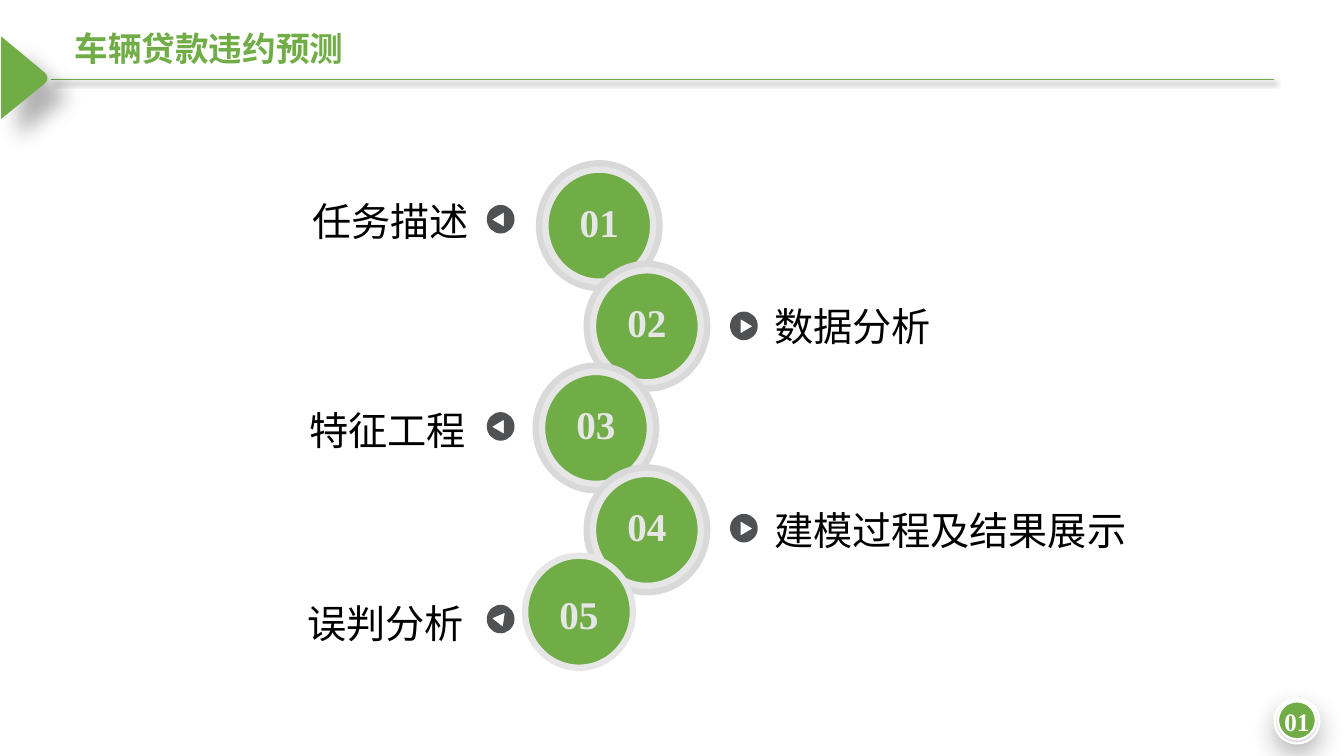
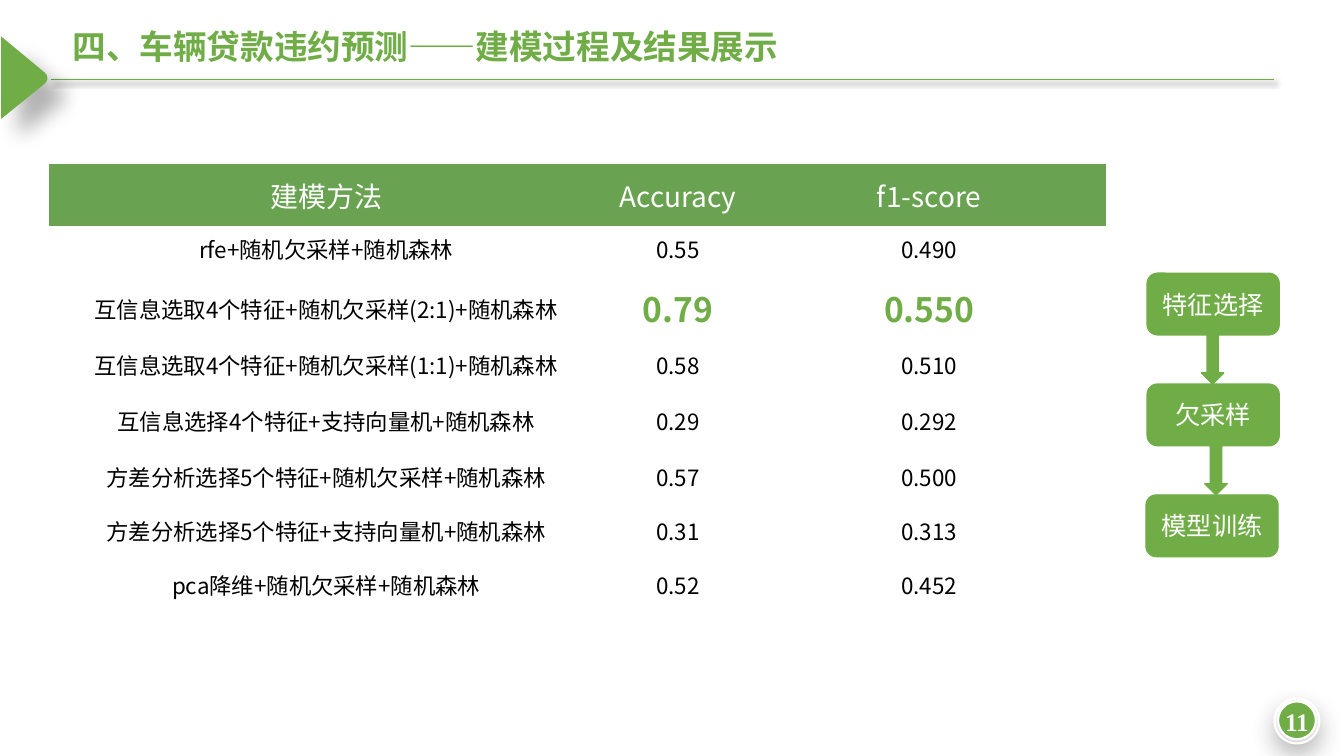
"""Builds a two-slide deck on vehicle loan default prediction."""
from lxml import etree
from pptx import Presentation
from pptx.dml.color import RGBColor
from pptx.enum.shapes import MSO_CONNECTOR, MSO_SHAPE
from pptx.enum.text import MSO_ANCHOR, PP_ALIGN
from pptx.oxml.ns import qn
from pptx.util import Pt

INK = {"green": "70AD47", "head": "69A250", "white": "FFFFFF", "black": "000000",
       "ring": "D9D9D9", "pale": "E7E6E6", "dark": "505153", "shade": "262626",
       "light": "FBFBFB", "dim": "DEDEDE"}
SANS, SERIF = "Noto Sans CJK SC", "Times New Roman"
NO_GRID = "{2D5ABB26-0587-4C30-8999-92F81FD0307C}"

AGENDA = {"title": "车辆贷款违约预测", "spot": (46.1, 16), "number": "01"}
MODELS = {"title": "四、车辆贷款违约预测——建模过程及结果展示", "spot": (44.6, 15), "number": "11"}

STEPS = [
    {"text": "任务描述", "disc": (389.6, 121.2), "label": (216, 130.3), "mark": (357.6, 156.6)},
    {"text": "数据分析", "disc": (423.6, 193.1), "label": (545.8, 205.9), "mark": (531.4, 232.8)},
    {"text": "特征工程", "disc": (387.2, 265.7), "label": (213.8, 280), "mark": (357.6, 304.6)},
    {"text": "建模过程及结果展示", "disc": (423.6, 338.5), "label": (545.8, 351.4),
     "mark": (531.4, 377.3)},
    {"text": "误判分析", "disc": (375.1, 397), "label": (212.4, 417.8), "mark": (357.6, 442.2),
     "ring": False, "drop": 3, "lift": 0, "turn": 8},
]
DISC_W, DISC_H, RIM = 77, 80, 6.8

SCORES = [
    ("建模方法", "Accuracy", "f1-score"),
    ("rfe+随机欠采样+随机森林", "0.55", "0.490"),
    ("互信息选取4个特征+随机欠采样(2:1)+随机森林", "0.79", "0.550"),
    ("互信息选取4个特征+随机欠采样(1:1)+随机森林", "0.58", "0.510"),
    ("互信息选择4个特征+支持向量机+随机森林", "0.29", "0.292"),
    ("方差分析选择5个特征+随机欠采样+随机森林", "0.57", "0.500"),
    ("方差分析选择5个特征+支持向量机+随机森林", "0.31", "0.313"),
    ("pca降维+随机欠采样+随机森林", "0.52", "0.452"),
]
BEST, LOOSE = 2, 4
WIDTHS = [396.5, 106.3, 252.4]
HEIGHTS = [44, 32.2, 53, 27.4, 41.8, 38.2, 38.9, 38.2]
FLOW = [("特征选择", 819.4, 858.2), ("欠采样", 819.4, 860.6), ("模型训练", 818.6, None)]


def rgb(name):
    return RGBColor.from_string(INK[name])


def style(frame, size, color, font=SANS, bold=False, align=PP_ALIGN.LEFT, space=None):
    for para in frame.paragraphs:
        para.alignment = align
        if space:
            para.line_spacing = space
        for run in para.runs:
            run.font.size = Pt(size)
            run.font.bold = bold
            run.font.name = font
            run.font.color.rgb = rgb(color)
            props = run.font._element
            etree.SubElement(props, qn("a:ea")).set("typeface", font)


def pad(frame, side=0, top=0, low=0):
    frame.margin_left = frame.margin_right = Pt(side)
    frame.margin_top, frame.margin_bottom = Pt(top), Pt(low)


def cast(item, color=None, alpha=0, blur=0, dist=0, angle=0):
    effects = etree.SubElement(item.element.spPr, qn("a:effectLst"))
    if color:
        shadow = etree.SubElement(
            effects, qn("a:outerShdw"), blurRad=str(Pt(blur)), dist=str(Pt(dist)),
            dir=str(angle * 60000), algn="tl", rotWithShape="0")
        tint = etree.SubElement(shadow, qn("a:srgbClr"), val=INK[color])
        etree.SubElement(tint, qn("a:alpha"), val=str(alpha * 1000))


def paint(item, fill, line=None, width=1, shadow=()):
    if fill:
        item.fill.solid()
        item.fill.fore_color.rgb = rgb(fill)
    if line:
        item.line.color.rgb = rgb(line)
        item.line.width = Pt(width)
    else:
        item.line.fill.background()
    cast(item, *shadow)


def shape(slide, kind, box, fill, line=None, width=1, shadow=()):
    item = slide.shapes.add_shape(kind, *map(Pt, box))
    paint(item, fill, line, width, shadow)
    return item


def outline(slide, rings, curves):
    """Draws closed rings; each index in curves starts three Bezier points."""
    rings = [[(Pt(x), Pt(y)) for x, y in ring] for ring in rings]
    pen = slide.shapes.build_freeform(*rings[0][0])
    pen.add_line_segments(rings[0][1:])
    for ring in rings[1:]:
        pen.move_to(*ring[0])
        pen.add_line_segments(ring[1:])
    item = pen.convert_to_shape()
    legs = list(item.element.iter(qn("a:lnTo")))
    for index in curves:
        first, *rest = legs[index:index + 3]
        curve = etree.Element(qn("a:cubicBezTo"))
        first.addprevious(curve)
        for leg in (first, *rest):
            curve.append(leg[0])
            leg.getparent().remove(leg)
    return item


def label(item, text, size, color, font=SANS, bold=False, drop=0, lift=0):
    frame = item.text_frame
    frame.text = text
    frame.word_wrap = False
    frame.vertical_anchor = MSO_ANCHOR.MIDDLE
    pad(frame, top=drop, low=lift)
    style(frame, size, color, font, bold, PP_ALIGN.CENTER)


def base(deck, title, spot, number):
    slide = deck.slides.add_slide(deck.slide_layouts[5])
    rule = slide.shapes.add_connector(
        MSO_CONNECTOR.STRAIGHT, Pt(36.3), Pt(57), Pt(910), Pt(57))
    rule.line.color.rgb = rgb("green")
    rule.line.width = Pt(0.5)
    cast(rule, "black", 40, 4, 3, 45)

    wedge = outline(slide, [[(0.8, 26), (31.9, 51.8), (34.6, 54), (34.6, 57.6),
                             (31.9, 59.8), (0.8, 85), (0.8, 26)]], [1])
    paint(wedge, "green", shadow=("black", 30, 15, 18, 45))

    badge = shape(slide, MSO_SHAPE.OVAL, (910.4, 499, 32, 32), None, "white", 1.5,
                  ("shade", 33, 18, 8, 90))
    badge.fill.gradient()
    badge.fill.gradient_angle = 270
    for stop, name in zip(badge.fill.gradient_stops, ("light", "dim")):
        stop.color.rgb = rgb(name)
    core = shape(slide, MSO_SHAPE.OVAL, (912.9, 501, 27, 27), "green", "white", 1.5)
    label(core, number, 18, "white", SERIF, True, 1)

    head = slide.shapes.title
    head.left, head.top, head.width, head.height = map(Pt, (*spot, 540, 36))
    frame = head.text_frame
    frame.text = title
    frame.word_wrap = True
    frame.vertical_anchor = MSO_ANCHOR.TOP
    pad(frame, 7.2, 3.6, 3.6)
    style(frame, 24, "green", bold=True)
    return slide


def mark(slide, x, y, way, turn):
    w, h, bend = 9.9, 10.2, 0.55
    unit = [(0, -1), (bend, -1), (1, -bend), (1, 0), (1, bend), (bend, 1), (0, 1),
            (-bend, 1), (-1, bend), (-1, 0), (-1, -bend), (-bend, -1), (0, -1)]
    circle = [(x + way * w * dx, y + h * dy) for dx, dy in unit]
    hole = [(x + way * dx, y + dy)
            for dx, dy in ((6.1, 0.3), (-2.3, 5.2), (-2.3, -4.8), (6.1, 0.3))]
    item = outline(slide, [circle, hole], range(0, 12, 3))
    item.rotation = turn
    paint(item, "dark")


def agenda(deck):
    slide = base(deck, **AGENDA)
    for index, step in enumerate(STEPS):
        x, y = step["disc"]
        if step.get("ring", True):
            shape(slide, MSO_SHAPE.OVAL,
                  (x - RIM, y - RIM, DISC_W + 2 * RIM, DISC_H + 2 * RIM), "ring")
        disc = shape(slide, MSO_SHAPE.OVAL, (x, y, DISC_W, DISC_H), "green", "pale", 4.5)
        label(disc, f"{index + 1:02d}", 28, "pale", SERIF, True,
              step.get("drop", 0), step.get("lift", 5.7))
        mark(slide, *step["mark"], 1 if index % 2 else -1, step.get("turn", 0))
        wide = 28 * len(step["text"]) + 20
        box = slide.shapes.add_textbox(*map(Pt, (*step["label"], wide, 44.6)))
        box.text_frame.text = step["text"]
        box.text_frame.word_wrap = True
        style(box.text_frame, 28, "black", space=1.2)


def scores(slide):
    frame = slide.shapes.add_table(
        len(SCORES), len(WIDTHS), Pt(34.7), Pt(117.2), Pt(sum(WIDTHS)), Pt(sum(HEIGHTS)))
    table = frame.table
    table.horz_banding = False
    table._tbl.tblPr.find(qn("a:tableStyleId")).text = NO_GRID
    for column, width in zip(table.columns, WIDTHS):
        column.width = Pt(width)
    for row, height in zip(table.rows, HEIGHTS):
        row.height = Pt(height)
    for r, texts in enumerate(SCORES):
        for c, text in enumerate(texts):
            cell = table.cell(r, c)
            cell.text = text
            cell.vertical_anchor = MSO_ANCHOR.MIDDLE
            pad(cell, 0.7, 0.7)
            best = r == BEST and c > 0
            size, color = (24, "green") if best else (16, "black")
            if r == 0:
                size, color = 20, "white"
                cell.fill.solid()
                cell.fill.fore_color.rgb = rgb("head")
            else:
                cell.fill.background()
            style(cell.text_frame, size, color, bold=best, align=PP_ALIGN.CENTER,
                  space=1.5 if r >= LOOSE else None)


def models(deck):
    slide = base(deck, **MODELS)
    scores(slide)
    top, wide, high, pitch, stem = 195.2, 94.3, 44, 79.2, 16
    for index, (text, left, arrow) in enumerate(FLOW):
        y = top + index * pitch
        box = shape(slide, MSO_SHAPE.ROUNDED_RECTANGLE, (left, y, wide, high),
                    "green", "green")
        label(box, text, 18, "white")
        if arrow:
            shape(slide, MSO_SHAPE.DOWN_ARROW, (arrow, y + high, stem, pitch - high),
                  "green", "green")


def main():
    deck = Presentation()
    deck.slide_width, deck.slide_height = Pt(960), Pt(540)
    agenda(deck)
    models(deck)
    deck.save("out.pptx")


if __name__ == "__main__":
    main()
